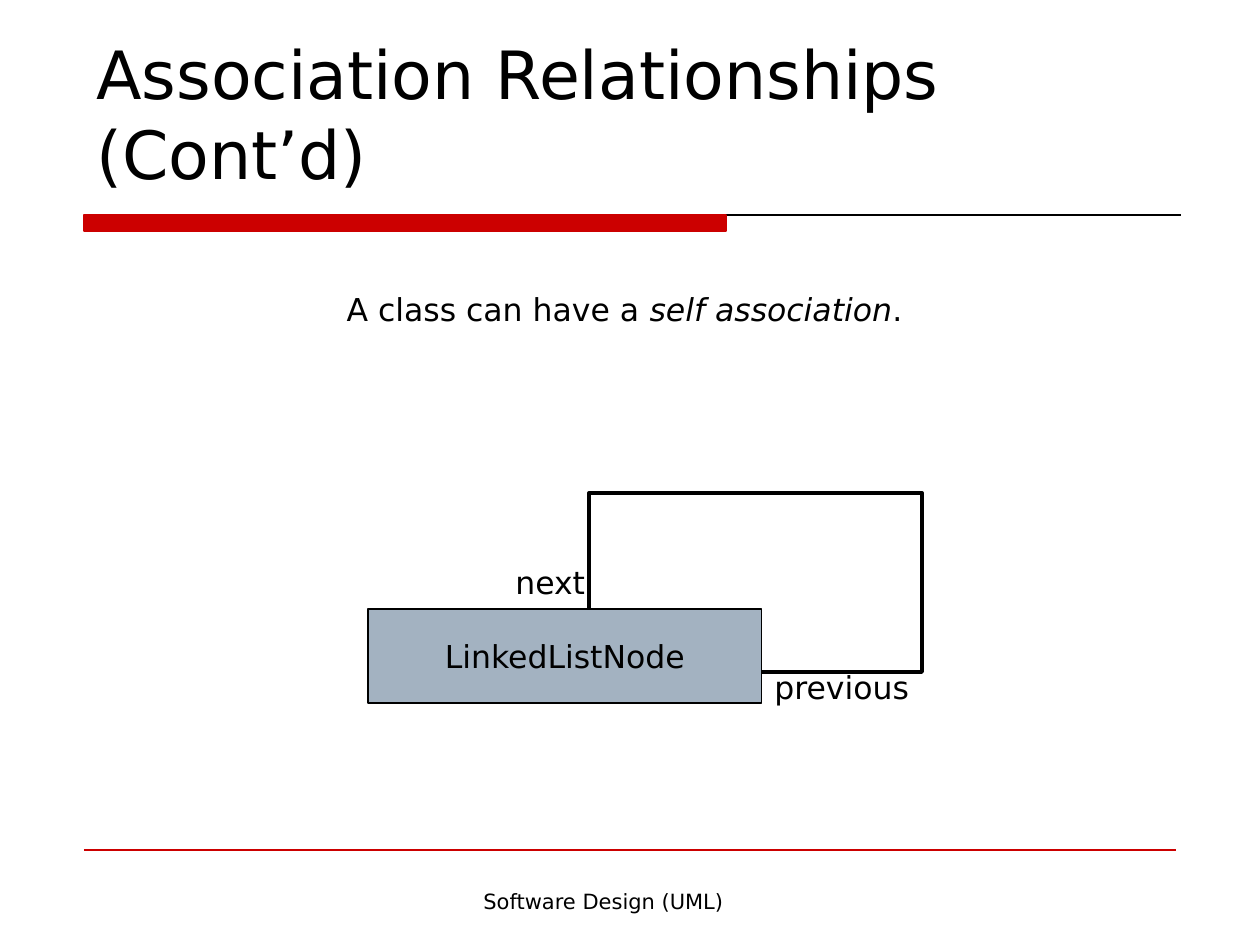
from lxml import etree
from pptx import Presentation
from pptx.dml.color import RGBColor
from pptx.enum.shapes import MSO_CONNECTOR, MSO_SHAPE
from pptx.enum.text import MSO_ANCHOR, PP_ALIGN
from pptx.oxml.ns import qn
from pptx.util import Pt

PX = 914400 // 126
FONT = "DejaVu Sans"
LEFT, CENTER = PP_ALIGN.LEFT, PP_ALIGN.CENTER
TOP, MIDDLE, BOTTOM = MSO_ANCHOR.TOP, MSO_ANCHOR.MIDDLE, MSO_ANCHOR.BOTTOM
COLORS = {"red": "CC0000", "black": "000000", "white": "FFFFFF", "node": "A3B2C1"}

# start x, end x, y, colour
RULES = [
    (84, 1181, 215, "black"),
    (84, 1176, 850, "red"),
]
# box, fill, line colour, line width in points
RECTANGLES = {
    "title bar": ((84, 215, 642, 16), "red", "red", 0.75),
    "association loop": ((589, 493, 333, 179), "white", "black", 2.25),
    "node": ((368, 609, 394, 94), "node", "black", 0.75),
}
# box, (text, italic) runs, size, alignment, anchor, wrap
TEXTS = [
    ((84, 126, 1124, 73), [("Association Relationships (Cont’d)", False)], 38, LEFT, BOTTOM, True),
    ((84, 284, 1081, 63),
     [("A class can have a ", False), ("self association", True), (".", False)],
     18, CENTER, TOP, True),
    ((503, 557, 98, 50), [("next", False)], 18, LEFT, TOP, False),
    ((762, 662, 173, 50), [("previous", False)], 18, LEFT, TOP, False),
    ((325, 882, 557, 63), [("Software Design (UML)", False)], 12, CENTER, TOP, True),
]


def rgb(name):
    return RGBColor.from_string(COLORS[name])


def scaled(box):
    return [value * PX for value in box]


def add_rule(slide, start, end, y, color):
    rule = slide.shapes.add_connector(MSO_CONNECTOR.STRAIGHT, *scaled((start, y, end, y)))
    rule.line.color.rgb = rgb(color)
    rule.line.width = Pt(0.75)
    etree.SubElement(rule._element.spPr, qn("a:effectLst"))


def add_rectangle(slide, box, fill, line, width):
    shape = slide.shapes.add_shape(MSO_SHAPE.RECTANGLE, *scaled(box))
    shape.shadow.inherit = False
    shape.fill.solid()
    shape.fill.fore_color.rgb = rgb(fill)
    shape.line.color.rgb = rgb(line)
    shape.line.width = Pt(width)
    return shape


def write(shape, runs, size, alignment, anchor, wrap=True):
    frame = shape.text_frame
    frame.word_wrap = wrap
    frame.vertical_anchor = anchor
    paragraph = frame.paragraphs[0]
    paragraph.alignment = alignment
    for text, italic in runs:
        run = paragraph.add_run()
        run.text = text
        run.font.name = FONT
        run.font.size = Pt(size)
        run.font.italic = italic
        run.font.color.rgb = rgb("black")


def main():
    presentation = Presentation()
    presentation.slide_width, presentation.slide_height = scaled((1260, 945))
    slide = presentation.slides.add_slide(presentation.slide_layouts[6])

    for rule in RULES:
        add_rule(slide, *rule)
    rectangles = {name: add_rectangle(slide, *style) for name, style in RECTANGLES.items()}
    write(rectangles["node"], [("LinkedListNode", False)], 18, CENTER, MIDDLE)
    for box, *content in TEXTS:
        write(slide.shapes.add_textbox(*scaled(box)), *content)

    presentation.save("out.pptx")


if __name__ == "__main__":
    main()
